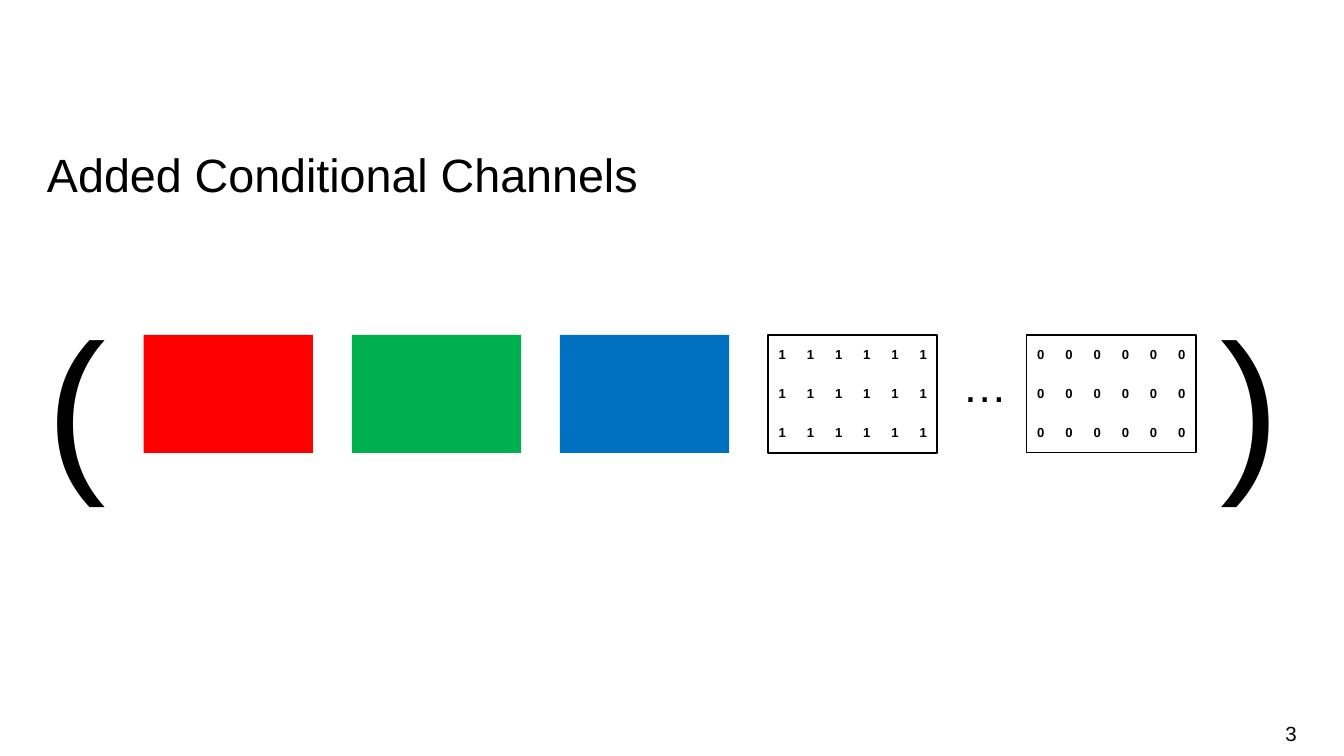
from pptx import Presentation
from pptx.dml.color import RGBColor
from pptx.enum.shapes import MSO_SHAPE as Shape
from pptx.enum.text import MSO_ANCHOR as Anchor, PP_ALIGN as Align
from pptx.oxml.ns import qn
from pptx.util import Pt
from lxml.etree import SubElement

BLACK = RGBColor(0, 0, 0)
WHITE = RGBColor(255, 255, 255)
RED = RGBColor(255, 0, 0)
GREEN = RGBColor(0, 176, 80)
BLUE = RGBColor(0, 112, 192)
NO_STYLE = "{2D5ABB26-0587-4C30-8999-92F81FD0307C}"
CHANNEL_WIDTH, CHANNEL_HEIGHT, CHANNEL_STEP = 90.7, 63.2, 111.5
GRID_ROWS, GRID_COLS = 3, 6


def set_values(target, values):
    """Set each named attribute of the target."""
    for name, value in values.items():
        setattr(target, name, value)


def write(frame, text, size, bold=False, **para_format):
    """Write one formatted paragraph into the frame and return it."""
    para = frame.paragraphs[0]
    set_values(para, para_format)
    span = para.add_run()
    span.text = text
    set_values(span.font, {"name": "Arial", "size": Pt(size), "bold": bold})
    span.font.color.rgb = BLACK
    return para


def add_label(page, box, text, size, anchor=Anchor.TOP, **para_format):
    """Add an unpadded text box and return its paragraph."""
    frame = page.shapes.add_textbox(*map(Pt, box)).text_frame
    set_values(frame, {
        "word_wrap": True, "vertical_anchor": anchor, "margin_left": 0,
        "margin_right": 0, "margin_top": 0, "margin_bottom": 0,
    })
    return write(frame, text, size, **para_format)


def add_brackets(page, box, closing_offset):
    """Place the pair of large brackets, the closing one at a tab stop."""
    para = add_label(page, box, "(\t)", 96, line_spacing=1.14)
    props = para._p.get_or_add_pPr()
    stops = SubElement(props, qn("a:tabLst"))
    SubElement(stops, qn("a:tab"), pos=str(Pt(closing_offset)), algn="l")


def add_channel(page, box, fill, line_width=None):
    """Place one channel rectangle, outlined if a line width is given."""
    channel = page.shapes.add_shape(Shape.RECTANGLE, *map(Pt, box))
    channel.shadow.inherit = False
    channel.fill.solid()
    channel.fill.fore_color.rgb = fill
    if line_width:
        channel.line.color.rgb = BLACK
        channel.line.width = Pt(line_width)
    else:
        channel.line.fill.background()


def add_digit_grid(page, box, digit):
    """Fill the box with a plain table that repeats one digit."""
    frame = page.shapes.add_table(GRID_ROWS, GRID_COLS, *map(Pt, box))
    table = frame.table
    set_values(table, {"first_row": False, "horz_banding": False})
    table._tbl.tblPr.find(qn("a:tableStyleId")).text = NO_STYLE
    for cell in table.iter_cells():
        cell.fill.background()
        set_values(cell, {
            "vertical_anchor": Anchor.MIDDLE,
            "margin_left": Pt(2.9), "margin_right": Pt(2.9),
            "margin_top": Pt(1.4), "margin_bottom": Pt(1.4),
        })
        write(cell.text_frame, digit, 7, bold=True, alignment=Align.CENTER)


def add_channels(page, left, top):
    """Place the colour channels and the conditional channels in a row."""
    size = (CHANNEL_WIDTH, CHANNEL_HEIGHT)
    for index, fill in enumerate((RED, GREEN, BLUE)):
        add_channel(page, (left + index * CHANNEL_STEP, top, *size), fill)
    ones_left = left + 3 * CHANNEL_STEP
    zeros_left = ones_left + 138.5
    for grid_left, digit, line_width in ((ones_left, "1", 1), (zeros_left, "0", 0.75)):
        box = (grid_left, top, *size)
        add_channel(page, box, WHITE, line_width)
        add_digit_grid(page, box, digit)
    add_label(page, (ones_left + 104, top + 8, 24, 30), "…", 24, line_spacing=1.14)


def main():
    """Build the slide and save the deck."""
    deck = Presentation()
    set_values(deck, {"slide_width": Pt(720), "slide_height": Pt(405)})
    page = deck.slides.add_slide(deck.slide_layouts[6])
    add_brackets(page, (25.2, 139.7, 669.6, 121.7), 628.6)
    add_label(page, (25.2, 76.3, 670, 30.2), "Added Conditional Channels", 25,
              line_spacing=Pt(32))
    add_label(page, (533.5, 382.3, 161.3, 21.6), "3", 11, Anchor.MIDDLE,
              alignment=Align.RIGHT)
    add_channels(page, 77, 179.4)
    deck.save("out.pptx")


if __name__ == "__main__":
    main()
